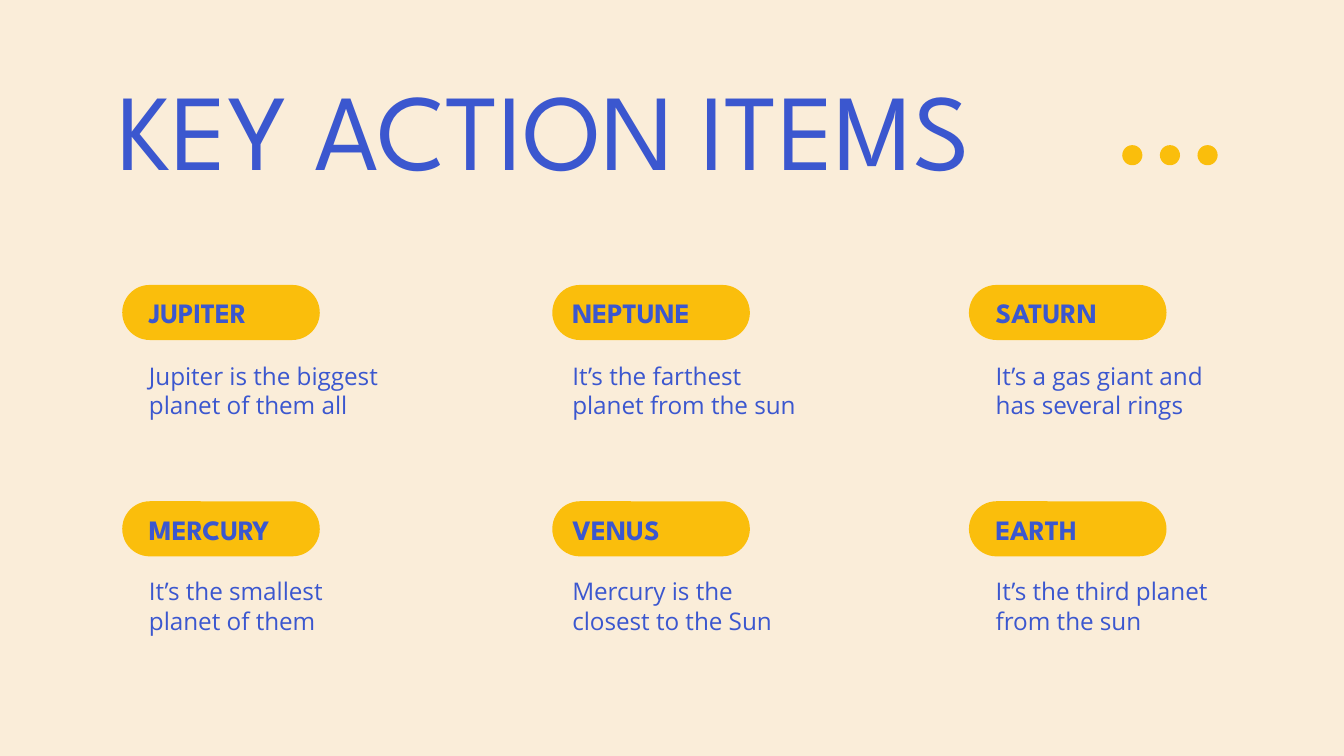
from pptx import Presentation
from pptx.dml.color import RGBColor
from pptx.enum.shapes import MSO_SHAPE
from pptx.enum.text import MSO_ANCHOR
from pptx.util import Inches, Pt

PILL = MSO_SHAPE.ROUNDED_RECTANGLE
DOT = MSO_SHAPE.OVAL
TOP = MSO_ANCHOR.TOP
MIDDLE = MSO_ANCHOR.MIDDLE
CREAM, YELLOW, BLUE = "FAEDD9", "FABE0C", "3B57CF"
HEADING_FONT, BODY_FONT = "League Spartan", "Open Sans"


def add_yellow(kind, left, top, width, height):
    accent = slide.shapes.add_shape(
        kind, Inches(left), Inches(top), Inches(width), Inches(height))
    accent.shadow.inherit = False
    accent.fill.solid()
    accent.fill.fore_color.rgb = RGBColor.from_string(YELLOW)
    accent.line.fill.background()
    return accent


def add_text(text, left, top, width, height, font_name, size, bold=False, anchor=TOP):
    box = slide.shapes.add_textbox(
        Inches(left), Inches(top), Inches(width), Inches(height))
    frame = box.text_frame
    frame.word_wrap = True
    frame.vertical_anchor = anchor
    frame.margin_left = frame.margin_right = Inches(0.1)
    frame.margin_top = frame.margin_bottom = Inches(0.1)
    frame.text = text
    font = frame.paragraphs[0].runs[0].font
    font.name = font_name
    font.size = Pt(size)
    font.bold = bold
    font.color.rgb = RGBColor.from_string(BLUE)


presentation = Presentation()
presentation.slide_width = Inches(10)
presentation.slide_height = Inches(10) * 9 // 16
slide = presentation.slides.add_slide(presentation.slide_layouts[6])
slide.background.fill.solid()
slide.background.fill.fore_color.rgb = RGBColor.from_string(CREAM)

planet_rows = [
    (2.12, 2.59, [
        ("JUPITER", "Jupiter is the biggest planet of them all"),
        ("NEPTUNE", "It’s the farthest planet from the sun"),
        ("SATURN", "It’s a gas giant and has several rings"),
    ]),
    (3.73, 4.19, [
        ("MERCURY", "It’s the smallest planet of them"),
        ("VENUS", "Mercury is the closest to the Sun"),
        ("EARTH", "It’s the third planet from the sun"),
    ]),
]
pill_lefts = [0.91, 4.11, 7.21]

add_text("KEY ACTION ITEMS", 0.78, 0.36, 8.44, 1.06, HEADING_FONT, 58)
for index in range(3):
    add_yellow(DOT, 8.35 + 0.28 * index, 1.08, 0.15, 0.15)

for name_top, fact_top, planets in planet_rows:
    for column, (planet, fact) in enumerate(planets):
        text_left = 1.01 + 3.15 * column
        pill = add_yellow(PILL, pill_lefts[column], name_top, 1.47, 0.41)
        pill.adjustments[0] = 0.5
        add_text(planet, text_left, name_top, 1.91, 0.41, HEADING_FONT, 15, True, MIDDLE)
        add_text(fact, text_left, fact_top, 1.91, 0.52, BODY_FONT, 13)

presentation.save("out.pptx")
